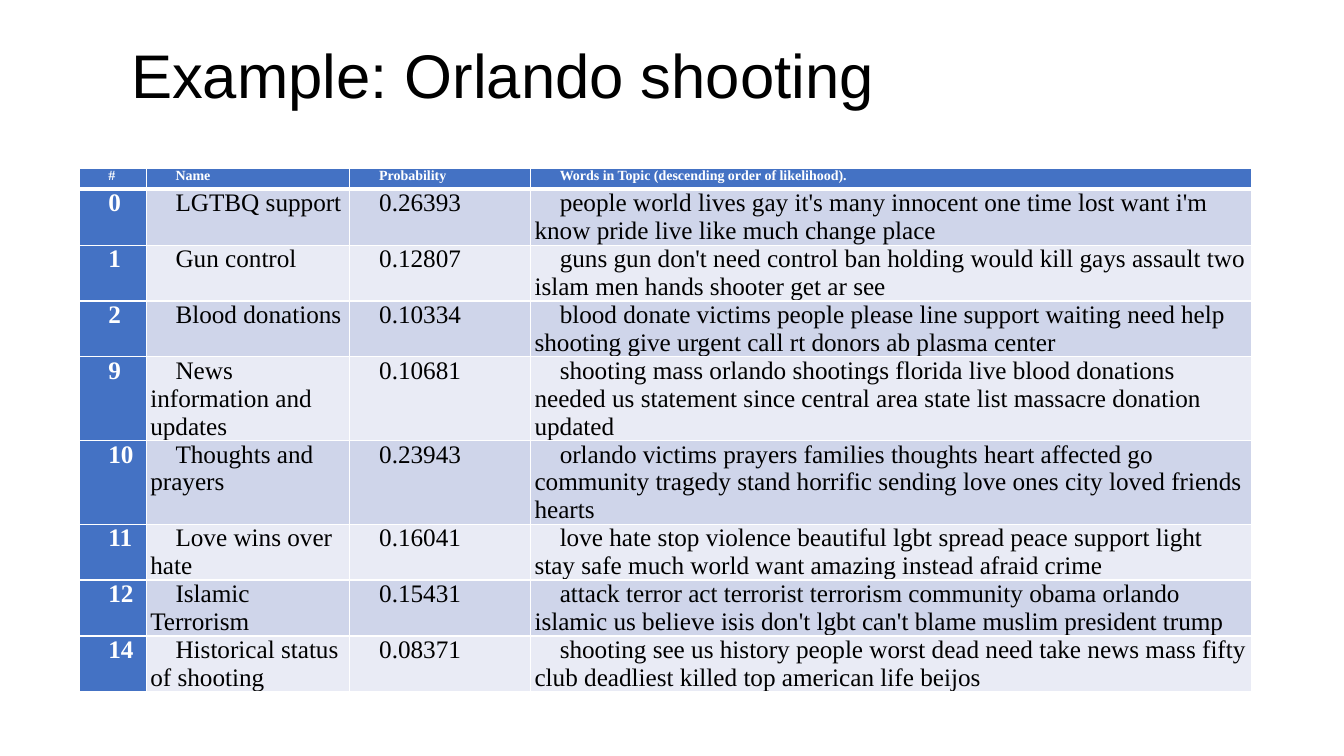
from lxml.etree import SubElement
from pptx import Presentation
from pptx.dml.color import RGBColor
from pptx.enum.text import MSO_ANCHOR, PP_ALIGN
from pptx.oxml.ns import qn
from pptx.util import Pt

COLORS = {
    "black": "000000",
    "white": "FFFFFF",
    "header": "4472C4",
    "band_dark": "CFD5EA",
    "band_light": "E9EBF5",
}
HEADINGS = ("#", "Name", "Probability", "Words in Topic (descending order of likelihood).")
TOPICS = [
    ("0", "LGTBQ support", "0.26393",
     "people world lives gay it's many innocent one time lost want i'm "
     "know pride live like much change place"),
    ("1", "Gun control", "0.12807",
     "guns gun don't need control ban holding would kill gays assault two "
     "islam men hands shooter get ar see"),
    ("2", "Blood donations", "0.10334",
     "blood donate victims people please line support waiting need help "
     "shooting give urgent call rt donors ab plasma center"),
    ("9", "News information and updates", "0.10681",
     "shooting mass orlando shootings florida live blood donations "
     "needed us statement since central area state list massacre donation updated"),
    ("10", "Thoughts and prayers", "0.23943",
     "orlando victims prayers families thoughts heart affected go "
     "community tragedy stand horrific sending love ones city loved friends hearts"),
    ("11", "Love wins over hate", "0.16041",
     "love hate stop violence beautiful lgbt spread peace support light "
     "stay safe much world want amazing instead afraid crime"),
    ("12", "Islamic Terrorism", "0.15431",
     "attack terror act terrorist terrorism community obama orlando "
     "islamic us believe isis don't lgbt can't blame muslim president trump"),
    ("14", "Historical status of shooting", "0.08371",
     "shooting see us history people worst dead need take news mass fifty "
     "club deadliest killed top american life beijos"),
]
COLUMN_WIDTHS = (48, 145.5, 129, 515.5)
HEADER_HEIGHT, TWO_LINES, THREE_LINES = 15, 39.9, 59.8
THREE_LINE_TOPICS = ("9", "10")


def add_run(paragraph, text, font_name, size, color, bold=False):
    run = paragraph.add_run()
    run.text = text
    run.font.name = font_name
    run.font.size = Pt(size)
    run.font.bold = bold
    run.font.color.rgb = RGBColor.from_string(COLORS[color])


def add_borders(cell, widths):
    properties = cell._tc.get_or_add_tcPr()
    for side, width in widths.items():
        line = SubElement(properties, qn(f"a:{side}"), w=str(Pt(width)))
        fill = SubElement(line, qn("a:solidFill"))
        SubElement(fill, qn("a:srgbClr"), val=COLORS["white"])


presentation = Presentation()
presentation.slide_width = Pt(960)
presentation.slide_height = Pt(540)
slide = presentation.slides.add_slide(presentation.slide_layouts[5])

# Title
title = slide.shapes.title
title.left, title.top, title.width, title.height = Pt(86.4), Pt(22.3), Pt(792), Pt(67.7)
title.text_frame.vertical_anchor = MSO_ANCHOR.MIDDLE
paragraph = title.text_frame.paragraphs[0]
paragraph.alignment = PP_ALIGN.LEFT
paragraph.line_spacing = 0.9
add_run(paragraph, "Example: Orlando shooting", "Arial", 44, "black")

# Table grid
row_heights = [HEADER_HEIGHT] + [
    THREE_LINES if topic[0] in THREE_LINE_TOPICS else TWO_LINES for topic in TOPICS
]
table = slide.shapes.add_table(
    len(row_heights), len(COLUMN_WIDTHS),
    Pt(56.4), Pt(120.2), Pt(sum(COLUMN_WIDTHS)), Pt(sum(row_heights)),
).table
table.first_col = True
table.horz_banding = False
for column, width in zip(table.columns, COLUMN_WIDTHS):
    column.width = Pt(width)
for row, height in zip(table.rows, row_heights):
    row.height = Pt(height)

# Table cells: blue header row and number column, banded topics
for row_index, values in enumerate([HEADINGS, *TOPICS]):
    band = "band_dark" if row_index % 2 else "band_light"
    for column_index, text in enumerate(values):
        cell = table.cell(row_index, column_index)
        is_heading = row_index == 0 or column_index == 0
        cell.margin_left = cell.margin_right = Pt(3)
        cell.margin_top = cell.margin_bottom = Pt(0)
        add_borders(cell, {
            "lnL": 1,
            "lnR": 1,
            "lnT": 3 if row_index == 1 else 1,
            "lnB": 3 if row_index == 0 else 1,
        })
        cell.fill.solid()
        cell.fill.fore_color.rgb = RGBColor.from_string(COLORS["header" if is_heading else band])
        paragraph = cell.text_frame.paragraphs[0]
        paragraph._p.get_or_add_pPr().set("indent", str(Pt(18)))
        add_run(paragraph, text, "Times New Roman", 18 if row_index else 10,
                "white" if is_heading else "black", is_heading)

presentation.save("out.pptx")
